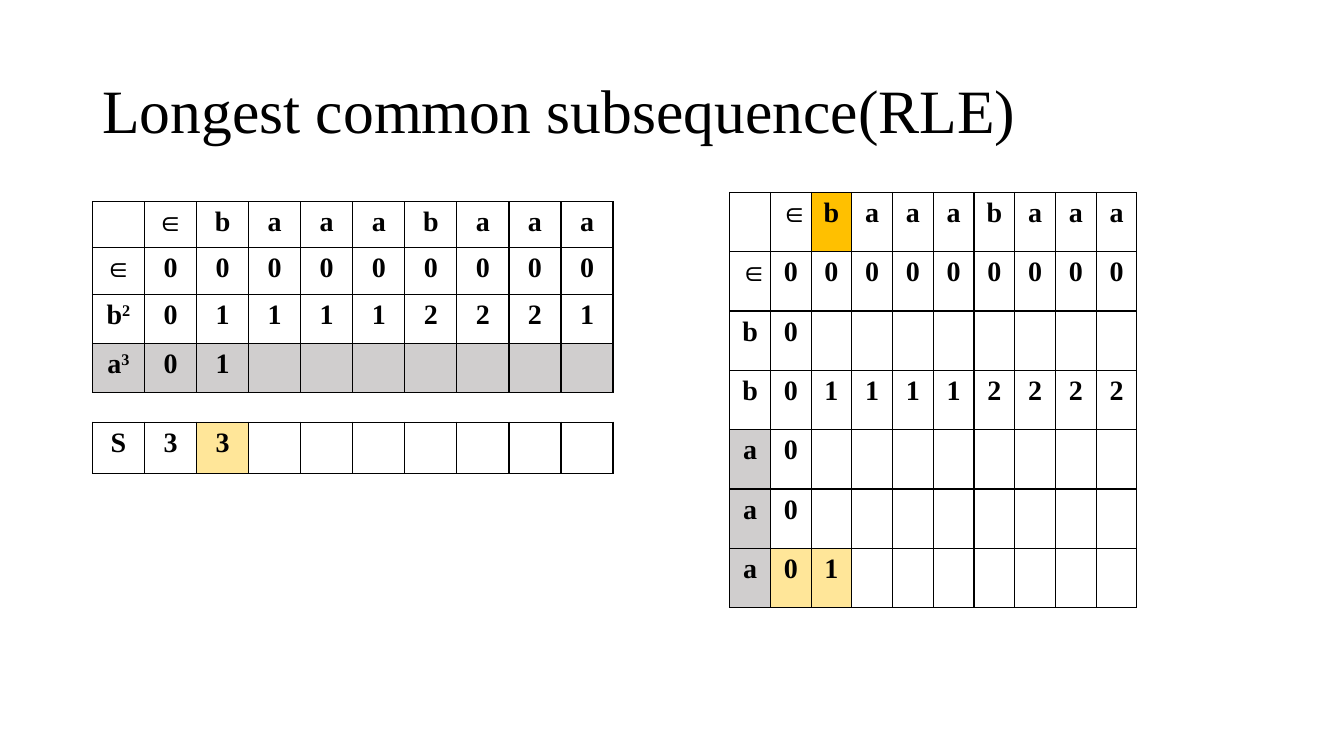
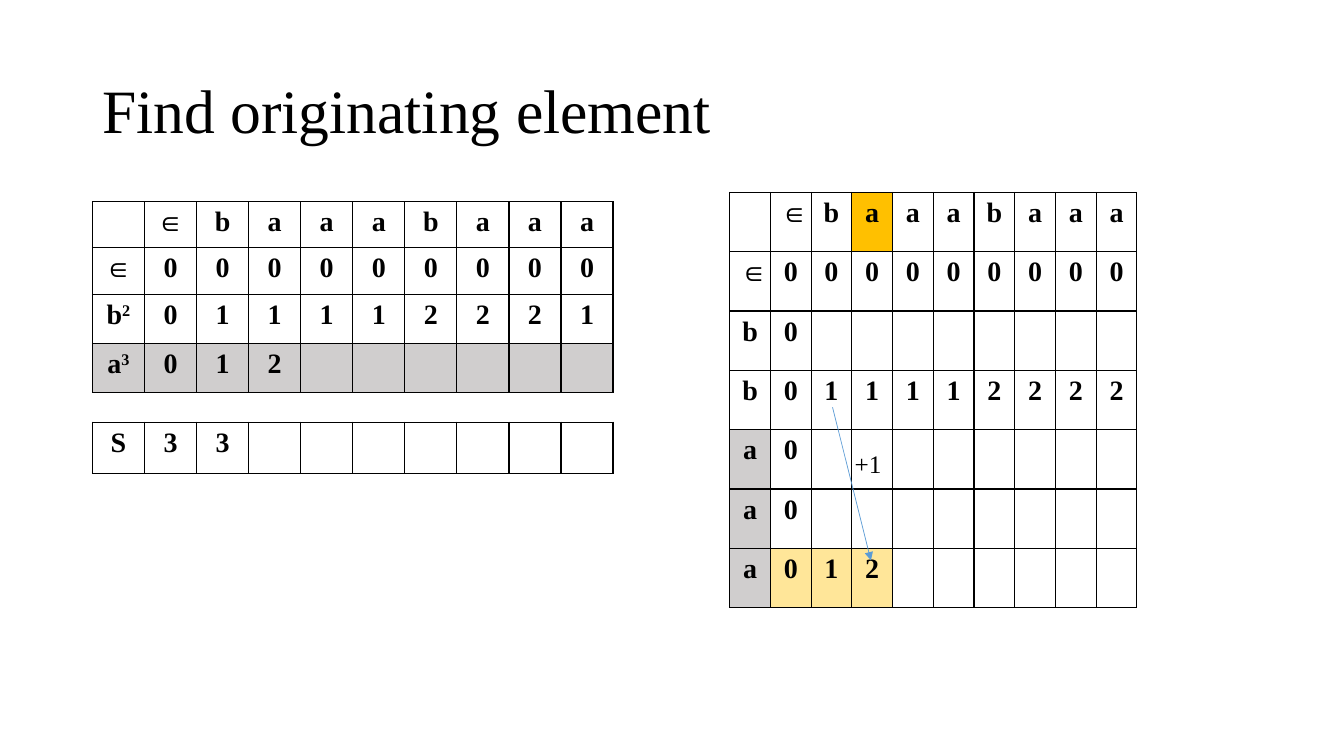
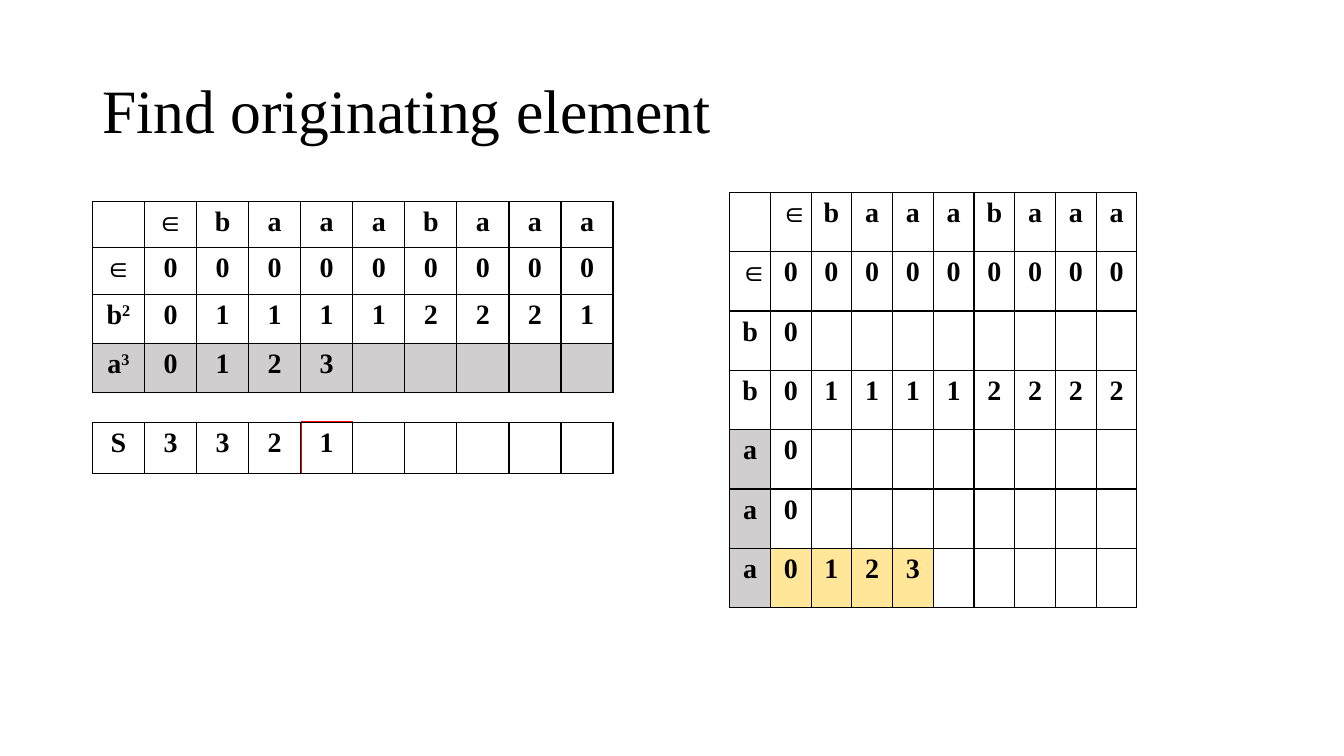
"""Build three slides on the run-length encoded longest common subsequence."""
from lxml.etree import SubElement
from pptx import Presentation
from pptx.dml.color import RGBColor
from pptx.enum.shapes import MSO_CONNECTOR as Connector, MSO_SHAPE as Shape
from pptx.enum.text import MSO_ANCHOR as Anchor, PP_ALIGN as Align
from pptx.oxml.ns import qn
from pptx.util import Pt

COLORS = {"ink": "000000", "run": "D0CECE", "known": "FFE699",
          "current": "FFC000", "arrow": "5B9BD5", "frame": "FF0000"}
FONT = "Times New Roman"
COLUMNS = 10
LEFT = 66
WORD = ". ∈ b a a a b a a a"
ZEROS = "∈" + " 0" * (COLUMNS - 1)


class Deck:
    def __init__(self):
        self.show = Presentation()
        self.show.slide_width, self.show.slide_height = Pt(960), Pt(540)

    def color(self, name):
        return RGBColor.from_string(COLORS[name])

    def add_words(self, paragraph, words, size, bold=False, raised=False):
        run = paragraph.add_run()
        run.text = words
        run.font.name, run.font.size, run.font.bold = FONT, Pt(size), bold
        run.font.color.rgb = self.color("ink")
        if raised:
            run.font._element.set("baseline", "30000")

    def text(self, words, left, top, width, height, size, anchor=Anchor.TOP):
        frame = self.slide.shapes.add_textbox(
            Pt(left), Pt(top), Pt(width), Pt(height)).text_frame
        frame.word_wrap, frame.vertical_anchor = True, anchor
        self.add_words(frame.paragraphs[0], words, size)
        return frame.paragraphs[0]

    def page(self, title):
        self.slide = self.show.slides.add_slide(self.show.slide_layouts[6])
        heading = self.text(title, LEFT, 28.8, 828, 104.4, 44, Anchor.MIDDLE)
        heading.line_spacing = 0.9

    def border(self, cell):
        properties = cell._tc.get_or_add_tcPr()
        for side in ("lnL", "lnR", "lnT", "lnB"):
            line = SubElement(properties, qn(f"a:{side}"), w=str(Pt(1)))
            fill = SubElement(line, qn("a:solidFill"))
            SubElement(fill, qn("a:srgbClr"), val=COLORS["ink"])

    def table(self, rows, left, top, column_width, heights, fills):
        table = self.slide.shapes.add_table(
            len(rows), COLUMNS, Pt(left), Pt(top),
            Pt(column_width * COLUMNS), Pt(sum(heights))).table
        table.first_row = table.horz_banding = False
        for column in table.columns:
            column.width = Pt(column_width)
        for r, (row, height) in enumerate(zip(rows, heights)):
            table.rows[r].height = Pt(height)
            entries = row.split()
            for c in range(COLUMNS):
                cell = table.cell(r, c)
                self.border(cell)
                if (r, c) in fills:
                    cell.fill.solid()
                    cell.fill.fore_color.rgb = self.color(fills[r, c])
                else:
                    cell.fill.background()
                if c < len(entries) and entries[c] != ".":
                    symbol, _, power = entries[c].partition("^")
                    paragraph = cell.text_frame.paragraphs[0]
                    paragraph.alignment = Align.CENTER
                    self.add_words(paragraph, symbol, 20, True)
                    if power:
                        self.add_words(paragraph, power, 20, True, True)

    def frame(self, left, top, width, height):
        box = self.slide.shapes.add_shape(
            Shape.RECTANGLE, Pt(left), Pt(top), Pt(width), Pt(height))
        box.shadow.inherit = False
        box.fill.background()
        box.line.color.rgb, box.line.width = self.color("frame"), Pt(1)

    def arrow(self, x1, y1, x2, y2):
        link = self.slide.shapes.add_connector(
            Connector.STRAIGHT, Pt(x1), Pt(y1), Pt(x2), Pt(y2))
        link.line.color.rgb, link.line.width = self.color("arrow"), Pt(0.5)
        properties = link._element.spPr
        SubElement(properties.find(qn("a:ln")), qn("a:tailEnd"), type="triangle")
        SubElement(properties, qn("a:effectLst"))

    def encoded(self, found):
        rows = [WORD, ZEROS, "b^2 0 1 1 1 1 2 2 2 1", f"a^3 {found}"]
        fills = {(3, c): "run" for c in range(COLUMNS)}
        self.table(rows, LEFT, 144, 37.2, [33, 33.5, 35, 35.2], fills)

    def starts(self, values, fills):
        self.table([f"S {values}"], LEFT, 301.6, 37.2, [36.8], fills)

    def expanded(self, found, current=None):
        rows = [WORD, ZEROS, "b 0", "b 0 1 1 1 1 2 2 2 2",
                "a 0", "a 0", f"a {found}"]
        fills = {(r, 0): "run" for r in (4, 5, 6)}
        fills.update({(6, c + 1): "known" for c in range(len(found.split()))})
        if current:
            fills[0, current] = "current"
        self.table(rows, 521.2, 137.5, 29.1, [42.35] * len(rows), fills)


def main():
    deck = Deck()

    deck.page("Longest common subsequence(RLE)")
    deck.encoded("0 1")
    deck.starts("3 3", {(0, 2): "known"})
    deck.expanded("0 1", 2)

    deck.page("Find originating element")
    deck.encoded("0 1 2")
    deck.starts("3 3", {})
    deck.expanded("0 1 2", 3)
    deck.arrow(594.7, 290.9, 622.1, 400.3)
    deck.text("+1", 603.4, 316.8, 50.4, 28.8, 18)

    deck.page("Find originating element")
    deck.encoded("0 1 2 3")
    deck.frame(215.3, 301, 36.7, 37.4)
    deck.starts("3 3 2 1", {})
    deck.expanded("0 1 2 3")

    deck.show.save("out.pptx")


if __name__ == "__main__":
    main()
